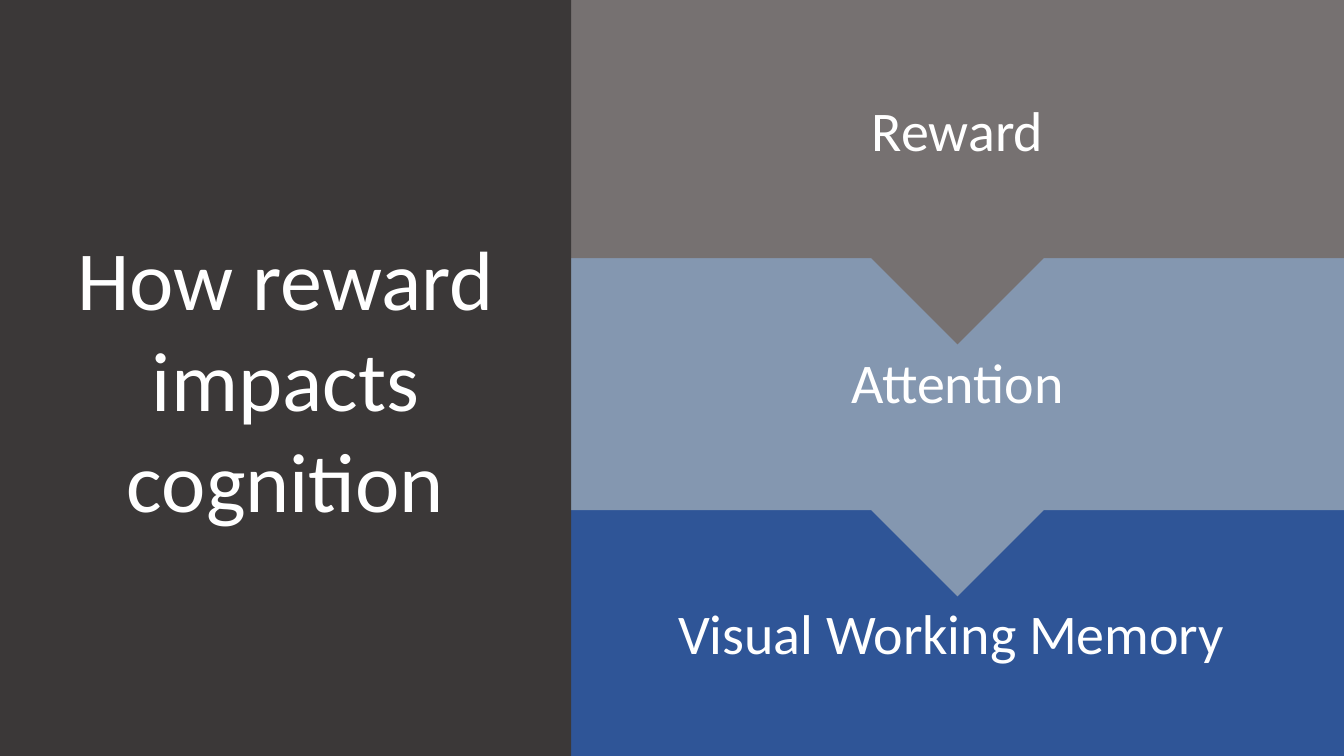
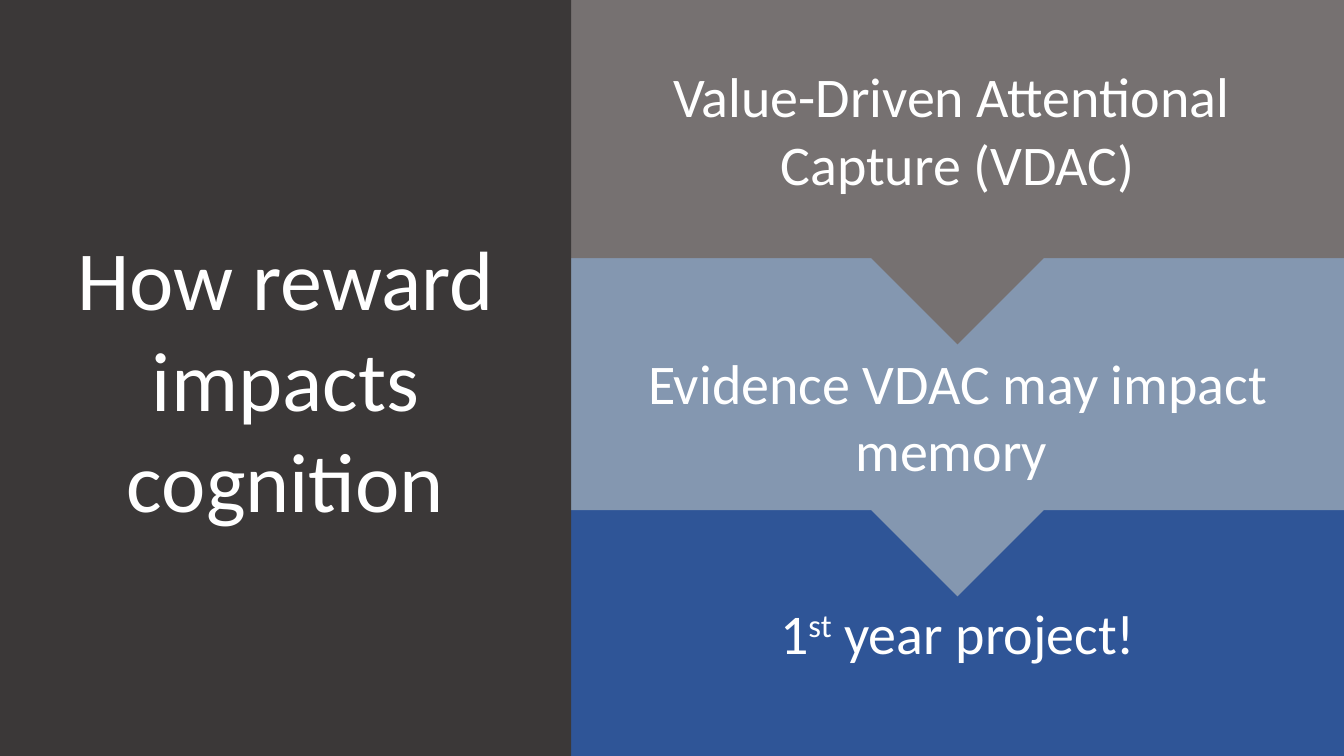
"""Build two slides on how reward impacts cognition."""
from pptx import Presentation
from pptx.dml.color import RGBColor
from pptx.enum import shapes, text
from pptx import util as u

WHITE = RGBColor(0xFF, 0xFF, 0xFF)
CHARCOAL = RGBColor(0x3B, 0x38, 0x38)
GREY = RGBColor(0x76, 0x71, 0x71)
STEEL = RGBColor(0x84, 0x97, 0xB0)
BLUE = RGBColor(0x2F, 0x55, 0x97)

WIDTH, HEIGHT = 960, 540
SPLIT = 408
STEP, CALLOUT_HEIGHT = 180, 246
LAST_TOP = 363
RECT = shapes.MSO_SHAPE.RECTANGLE
CALLOUT = shapes.MSO_SHAPE.DOWN_ARROW_CALLOUT


class Deck:
    """Holds the style and the current slide."""

    font = "Calibri"
    title_size = 60
    band_size = 40

    def __init__(self):
        """Start an empty widescreen presentation."""
        self.prs = Presentation()
        self.prs.slide_width = u.Pt(WIDTH)
        self.prs.slide_height = u.Pt(HEIGHT)

    def panel(self, kind, x, y, w, h, color, paragraphs, size, drop=0):
        """Add a filled shape with centred text, lowered by an inset."""
        sp = self.s.shapes.add_shape(kind, u.Pt(x), u.Pt(y), u.Pt(w), u.Pt(h))
        sp.shadow.inherit = False
        sp.fill.solid()
        sp.fill.fore_color.rgb = color
        sp.line.fill.background()
        tf = sp.text_frame
        tf.word_wrap = True
        tf.vertical_anchor = text.MSO_ANCHOR.MIDDLE
        tf.margin_top = u.Pt(3.6 + drop)
        for i, runs in enumerate(paragraphs):
            p = tf.paragraphs[0] if i == 0 else tf.add_paragraph()
            p.alignment = text.PP_ALIGN.CENTER
            for words, baseline in runs:
                self.run(p, words, size, baseline)
        return sp

    def run(self, p, words, size, baseline):
        """Add one run, raised by a baseline percentage."""
        r = p.add_run()
        r.text = words
        r.font.name = self.font
        r.font.size = u.Pt(size)
        r.font.color.rgb = WHITE
        if baseline:
            r._r.get_or_add_rPr().set("baseline", str(baseline * 1000))

    def callout(self, row, color, paragraphs, drop=0):
        """Add a band that points down to the next one."""
        sp = self.panel(CALLOUT, SPLIT, row * STEP, WIDTH - SPLIT, CALLOUT_HEIGHT,
                        color, paragraphs, self.band_size, drop)
        for i, value in enumerate((0.5, 0.25, 0.25, 0.75)):
            sp.adjustments[i] = value

    def slide(self, title, top, middle, bottom, middle_drop=0):
        """Add a slide with a title panel and three stacked bands."""
        self.s = self.prs.slides.add_slide(self.prs.slide_layouts[6])
        self.panel(RECT, SPLIT, LAST_TOP, WIDTH - SPLIT, HEIGHT - LAST_TOP,
                   BLUE, bottom, self.band_size)
        self.callout(1, STEEL, middle, middle_drop)
        self.callout(0, GREY, top)
        self.panel(RECT, 0, 0, SPLIT, HEIGHT, CHARCOAL, [[(title, 0)]], self.title_size)


TITLE = "How reward impacts cognition"

deck = Deck()
deck.slide(
    TITLE,
    top=[[("Reward", 0)]],
    middle=[[("Attention", 0)]],
    bottom=[[("Visual Working Memory ", 0)]],
)
deck.slide(
    TITLE,
    top=[[("Value-Driven Attentional ", 0)], [("Capture (VDAC)", 0)]],
    middle=[[("Evidence VDAC may impact memory ", 0)]],
    bottom=[[("1", 0), ("st", 30), (" year project!", 0)]],
    middle_drop=48.8,
)
deck.prs.save("out.pptx")
